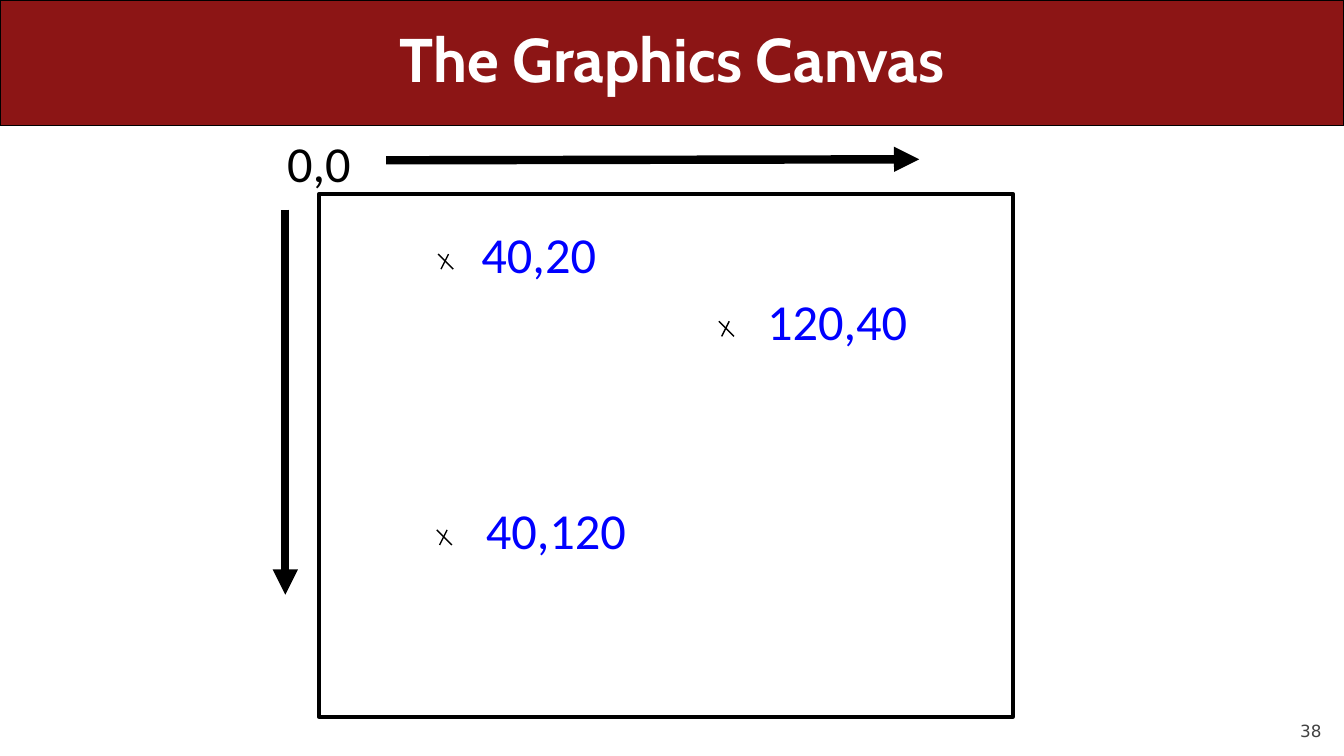
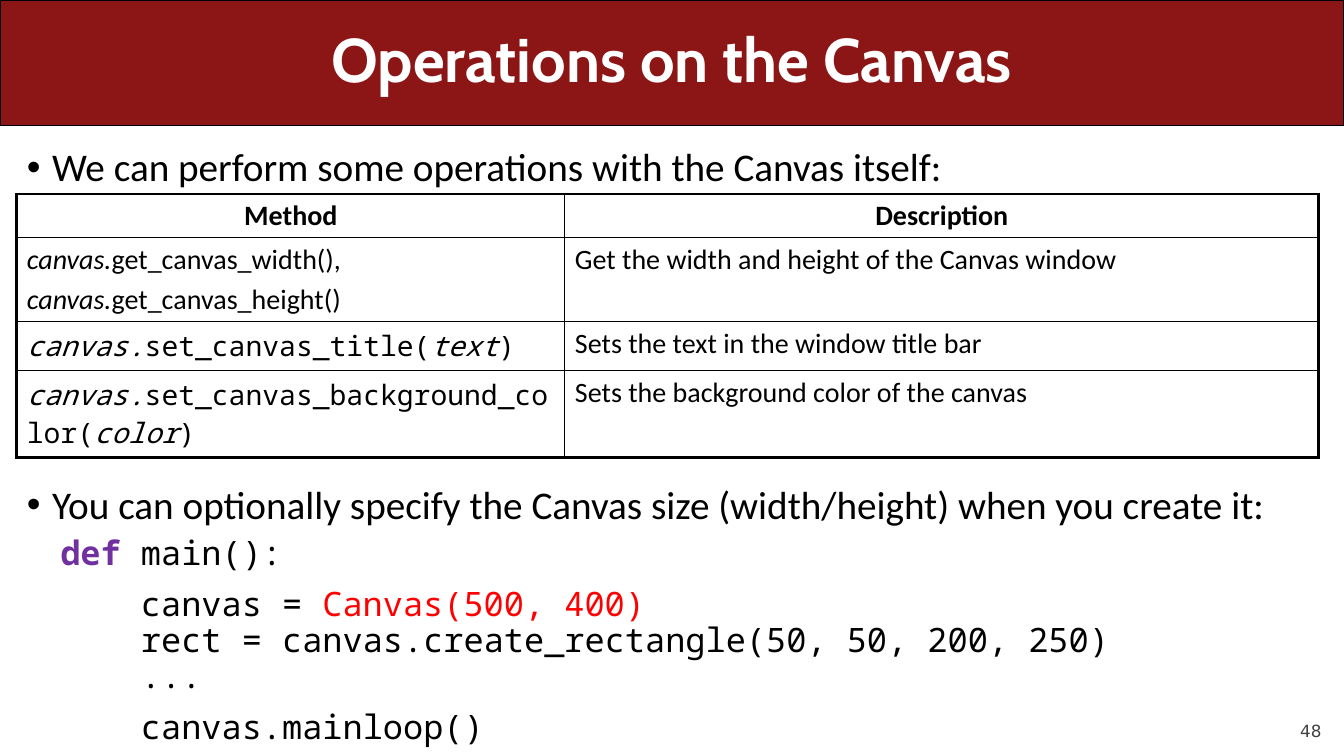
from lxml import etree
from pptx import Presentation
from pptx.dml.color import RGBColor
from pptx.enum.shapes import MSO_CONNECTOR, MSO_SHAPE
from pptx.enum.text import MSO_ANCHOR, MSO_AUTO_SIZE, PP_ALIGN
from pptx.oxml.ns import qn
from pptx.util import Pt

STRAIGHT = MSO_CONNECTOR.STRAIGHT
RECTANGLE = MSO_SHAPE.RECTANGLE
LEFT, CENTER, RIGHT = PP_ALIGN.LEFT, PP_ALIGN.CENTER, PP_ALIGN.RIGHT
MIDDLE, BOTTOM, TOP = MSO_ANCHOR.MIDDLE, MSO_ANCHOR.BOTTOM, MSO_ANCHOR.TOP
NO_FIT = MSO_AUTO_SIZE.NONE

BLACK, WHITE, CARDINAL, GRAY = "000000", "FFFFFF", "8C1515", "424242"
BLUE, RED, PURPLE = "0000FF", "FF0000", "7030A0"
BODY_FONT, TITLE_FONT, CODE_FONT = "Calibri", "Cabin", "Noto Sans Mono"
NUMBER_FONT = "DejaVu Sans"
SLIDE_W, SLIDE_H, BAND_H = 960, 540, 90


def rgb(hex_color):
    return RGBColor.from_string(hex_color)


def write(frame, text, size=20, font=BODY_FONT, color=BLACK, bold=False, italic=False,
          align=LEFT, spacing=1.0, before=0, margin=0, indent=0):
    """Add a paragraph; text is a string or a list of (text, format changes)."""
    paragraph = frame.paragraphs[0]
    if paragraph.runs:
        paragraph = frame.add_paragraph()
    paragraph.alignment = align
    paragraph.line_spacing = spacing
    paragraph.space_before = Pt(before)
    if margin:
        properties = paragraph._p.get_or_add_pPr()
        properties.set("marL", str(Pt(margin)))
        properties.set("indent", str(Pt(indent)))
    for part, changes in [(text, {})] if isinstance(text, str) else text:
        if part == "\n":
            paragraph.add_line_break()
            continue
        run = paragraph.add_run()
        run.text = part
        run.font.size = Pt(size)
        run.font.name = font
        run.font.bold = changes.get("bold", bold)
        run.font.italic = changes.get("italic", italic)
        run.font.color.rgb = rgb(changes.get("color", color))


deck = Presentation()
deck.slide_width, deck.slide_height = Pt(SLIDE_W), Pt(SLIDE_H)

# Shared band, title and slide number
slides = []
for layout, heading, number in [(5, "The Graphics Canvas", "38"),
                                (1, "Operations on the Canvas", "48")]:
    slide = deck.slides.add_slide(deck.slide_layouts[layout])
    slides.append(slide)

    band = slide.shapes.add_shape(RECTANGLE, 0, 0, Pt(SLIDE_W), Pt(BAND_H))
    band.shadow.inherit = False
    band.fill.solid()
    band.fill.fore_color.rgb = rgb(CARDINAL)
    band.line.color.rgb = rgb(BLACK)
    band.line.width = Pt(0.75)
    slide.shapes._spTree.insert(2, band._element)

    title = slide.shapes.title
    title.left, title.top, title.width, title.height = Pt(36), Pt(0), Pt(888), Pt(BAND_H)
    title.text_frame.auto_size = NO_FIT
    title.text_frame.vertical_anchor = MIDDLE
    write(title.text_frame, heading, size=44, font=TITLE_FONT, color=WHITE, bold=True,
          align=CENTER, spacing=0.9)

    page = slide.shapes.add_textbox(Pt(864), Pt(500.4), Pt(80), Pt(28.8)).text_frame
    page.margin_left = page.margin_right = page.margin_top = page.margin_bottom = 0
    page.word_wrap = True
    page.vertical_anchor = BOTTOM
    write(page, number, size=12, font=NUMBER_FONT, color=GRAY, align=RIGHT, before=5)

coordinates_slide, operations_slide = slides

# Canvas outline
canvas = coordinates_slide.shapes.add_shape(RECTANGLE, Pt(228), Pt(138.5), Pt(495.5), Pt(373.5))
canvas.shadow.inherit = False
canvas.fill.background()
canvas.line.color.rgb = rgb(BLACK)
canvas.line.width = Pt(3)

# Axis arrows: x1, y1, x2, y2, width, arrowhead
strokes = [(203.8, 149.8, 203.8, 424.8, 6, True),
           (275.8, 114.5, 656.6, 113.8, 6, True)]
# Coordinate labels: text, left, top, width, color
labels = [("0,0", 194.4, 90.7, 67, BLACK)]

# Points: text, left and top of the cross, left of the label
for point, x, y, label_left in [("40,20", 313, 181.5, 326.2),
                                ("40,120", 312, 378.5, 338.4),
                                ("120,40", 513.5, 229.5, 539.3)]:
    strokes += [(x, y, x + 10.8, y + 10.8, 1, False),
                (x + 7.4, y, x + 2, y + 10.8, 1, False)]
    labels.append((point, label_left, y - 25.5, 117.4, BLUE))

for x1, y1, x2, y2, width, has_head in strokes:
    stroke = coordinates_slide.shapes.add_connector(STRAIGHT, Pt(x1), Pt(y1), Pt(x2), Pt(y2))
    stroke.line.color.rgb = rgb(BLACK)
    stroke.line.width = Pt(width)
    if has_head:
        etree.SubElement(stroke.line._get_or_add_ln(), qn("a:tailEnd"), type="triangle")
    etree.SubElement(stroke._element.spPr, qn("a:effectLst"))

for label, left, top, width, color in labels:
    label_frame = coordinates_slide.shapes.add_textbox(
        Pt(left), Pt(top), Pt(width), Pt(51)).text_frame
    label_frame.word_wrap = True
    write(label_frame, label, size=36, color=color, align=CENTER)

# Bullets, with room for the table between them
bullets = operations_slide.placeholders[1]
bullets.left, bullets.top, bullets.width, bullets.height = Pt(12), Pt(102), Pt(930), Pt(408)
bullets.text_frame.auto_size = NO_FIT
bullets.text_frame.vertical_anchor = TOP
for bullet, before in [
        ("We can perform some operations with the Canvas itself:", 10),
        ("You can optionally specify the Canvas size (width/height) when you create it:", 211)]:
    write(bullets.text_frame, bullet, size=28, spacing=0.9, before=before,
          margin=18, indent=-18)

# Table of methods: each cell is a format and its paragraphs
ITALIC = {"italic": True}
HEADER = {"bold": True, "align": CENTER}
CODE = {"font": CODE_FONT}
methods = [
    [(HEADER, ["Method"]), (HEADER, ["Description"])],
    [({}, [[("canvas.", ITALIC), ("get_canvas_width(),", {})],
           [("canvas.", ITALIC), ("get_canvas_height()", {})]]),
     ({}, ["Get the width and height of the Canvas window"])],
    [(CODE, [[("canvas.", ITALIC), ("set_canvas_title(", {}), ("text", ITALIC), (")", {})]]),
     ({}, ["Sets the text in the window title bar"])],
    [(CODE, [[("canvas.", ITALIC), ("set_canvas_background_color(", {}),
              ("color", ITALIC), (")", {})]]),
     ({}, ["Sets the background color of the canvas"])],
]
row_heights, column_widths = [31, 60, 35, 62], [391.5, 538.5]
last_row, last_column = len(row_heights) - 1, len(column_widths) - 1
table = operations_slide.shapes.add_table(
    len(row_heights), len(column_widths), Pt(12), Pt(138.5),
    Pt(sum(column_widths)), Pt(sum(row_heights))).table
table.first_row = table.horz_banding = False
for column, width in zip(table.columns, column_widths):
    column.width = Pt(width)
for r, (cells, height) in enumerate(zip(methods, row_heights)):
    table.rows[r].height = Pt(height)
    for c, (cell_format, paragraphs) in enumerate(cells):
        cell = table.cell(r, c)
        cell.fill.background()
        for i, paragraph_text in enumerate(paragraphs):
            write(cell.text_frame, paragraph_text, before=4 if i else 0, **cell_format)
        # Heavy outer borders, thin inner ones
        outer_sides = [("L", c == 0), ("R", c == last_column),
                       ("T", r == 0), ("B", r == last_row)]
        for i, (side, is_outer) in enumerate(outer_sides):
            border = etree.Element(qn("a:ln" + side), w=str(Pt(2.25 if is_outer else 1)))
            border_fill = etree.SubElement(border, qn("a:solidFill"))
            etree.SubElement(border_fill, qn("a:srgbClr"), val=BLACK)
            cell._tc.get_or_add_tcPr().insert(i, border)

# Code example, its body indented by four characters
code = operations_slide.shapes.add_textbox(Pt(36), Pt(380), Pt(888), Pt(160)).text_frame
code.word_wrap = True
for code_lines, margin in [
        ([("def", {"color": PURPLE, "bold": True}), (" main():", {})], 0),
        ([("canvas = ", {}), ("Canvas(500, 400)", {"color": RED}), ("\n", {}),
          ("rect = canvas.create_rectangle(50, 50, 200, 250)", {}), ("\n", {}),
          ("...", {})], 57.6),
        ("canvas.mainloop()", 57.6)]:
    write(code, code_lines, size=24, font=CODE_FONT, spacing=0.9, before=10, margin=margin)

deck.save("out.pptx")
